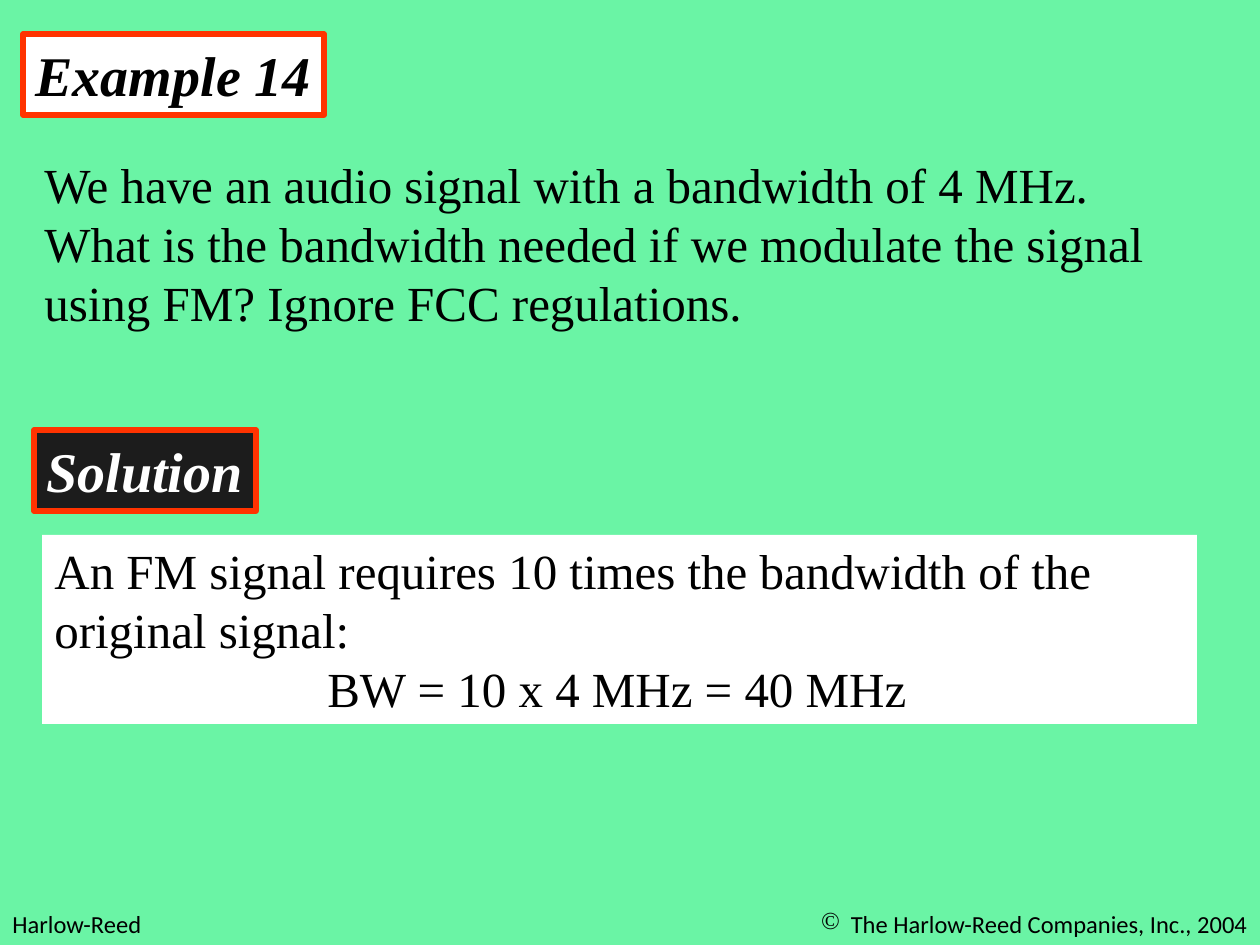
from lxml.etree import SubElement
from pptx import Presentation
from pptx.dml.color import RGBColor
from pptx.enum.shapes import MSO_SHAPE
from pptx.enum.text import MSO_ANCHOR, PP_ALIGN
from pptx.oxml.ns import qn
from pptx.util import Pt

SCALE = 914400 / 126  # EMU in one px
MINT = RGBColor(0x6A, 0xF4, 0xA5)
RED = RGBColor(0xFF, 0x33, 0x00)
WHITE = RGBColor(0xFF, 0xFF, 0xFF)
BLACK = RGBColor(0, 0, 0)
COAL = RGBColor(0x1C, 0x1C, 0x1C)
SERIF = "Times New Roman"
SANS = "Calibri"


def px(num):
    return round(num * SCALE)


def place(shape, box):
    shape.left, shape.top, shape.width, shape.height = map(px, box)


def write(shape, text, font, size, color=BLACK, bold=False, wrap=True,
          align=PP_ALIGN.LEFT, pitch=None):
    frame = shape.text_frame
    frame.text = text
    frame.word_wrap = wrap
    frame.vertical_anchor = MSO_ANCHOR.TOP
    for para in frame.paragraphs:
        para.alignment = align
        if pitch:
            para.line_spacing = Pt(pitch)
        for run in para.runs:
            run.font.name = font
            run.font.size = Pt(size)
            run.font.color.rgb = color
            run.font.bold = run.font.italic = bold


def indent(para, left, first=0):
    props = para._p.get_or_add_pPr()
    props.set("marL", str(px(left)))
    props.set("indent", str(px(first)))
    return props


def add_panel(slide, box, fill):
    panel = slide.shapes.add_shape(MSO_SHAPE.RECTANGLE, *map(px, box))
    panel.shadow.inherit = False
    panel.fill.solid()
    panel.fill.fore_color.rgb = fill
    panel.line.fill.background()
    return panel


def label(shape, text, fill, color):
    """Red-framed heading in bold italics."""
    shape.fill.solid()
    shape.fill.fore_color.rgb = fill
    shape.line.color.rgb = RED
    shape.line.width = Pt(3)
    write(shape, text, SERIF, 32, color, bold=True, wrap=False, pitch=38.5)


def add_text(slide, box, text, font, size, **style):
    shape = slide.shapes.add_textbox(*map(px, box))
    write(shape, text, font, size, **style)
    return shape


def main():
    deck = Presentation()
    deck.slide_width, deck.slide_height = px(1260), px(945)
    slide = deck.slides.add_slide(deck.slide_layouts[5])
    slide.background.fill.solid()
    slide.background.fill.fore_color.rgb = MINT

    # Footer
    add_text(slide, (0, 903, 305, 42), "Harlow-Reed", SANS, 14)
    rights = add_text(slide, (630, 903, 630, 42),
                      "The Harlow-Reed Companies, Inc., 2004", SANS, 14,
                      align=PP_ALIGN.RIGHT)
    props = indent(rights.text_frame.paragraphs[0], 30, -30)
    SubElement(props, qn("a:buChar")).set("char", "©")

    # Question
    title = slide.shapes.title
    place(title, (23, 34, 301, 81))
    label(title, "Example 14", WHITE, BLACK)
    add_text(slide, (32, 149, 1166, 189),
             "We have an audio signal with a bandwidth of 4 MHz. What is the "
             "bandwidth needed if we modulate the signal using FM? Ignore FCC "
             "regulations.", SERIF, 28, pitch=33.5)

    # Solution
    label(add_panel(slide, (34, 430, 222, 81), COAL), "Solution", COAL, WHITE)
    answer = add_panel(slide, (42, 535, 1155, 189), WHITE)
    write(answer, "An FM signal requires 10 times the bandwidth of the original "
          "signal:\nBW = 10 x 4 MHz = 40 MHz", SERIF, 28, pitch=33.5)
    indent(answer.text_frame.paragraphs[1], 273)

    deck.save("out.pptx")


if __name__ == "__main__":
    main()
